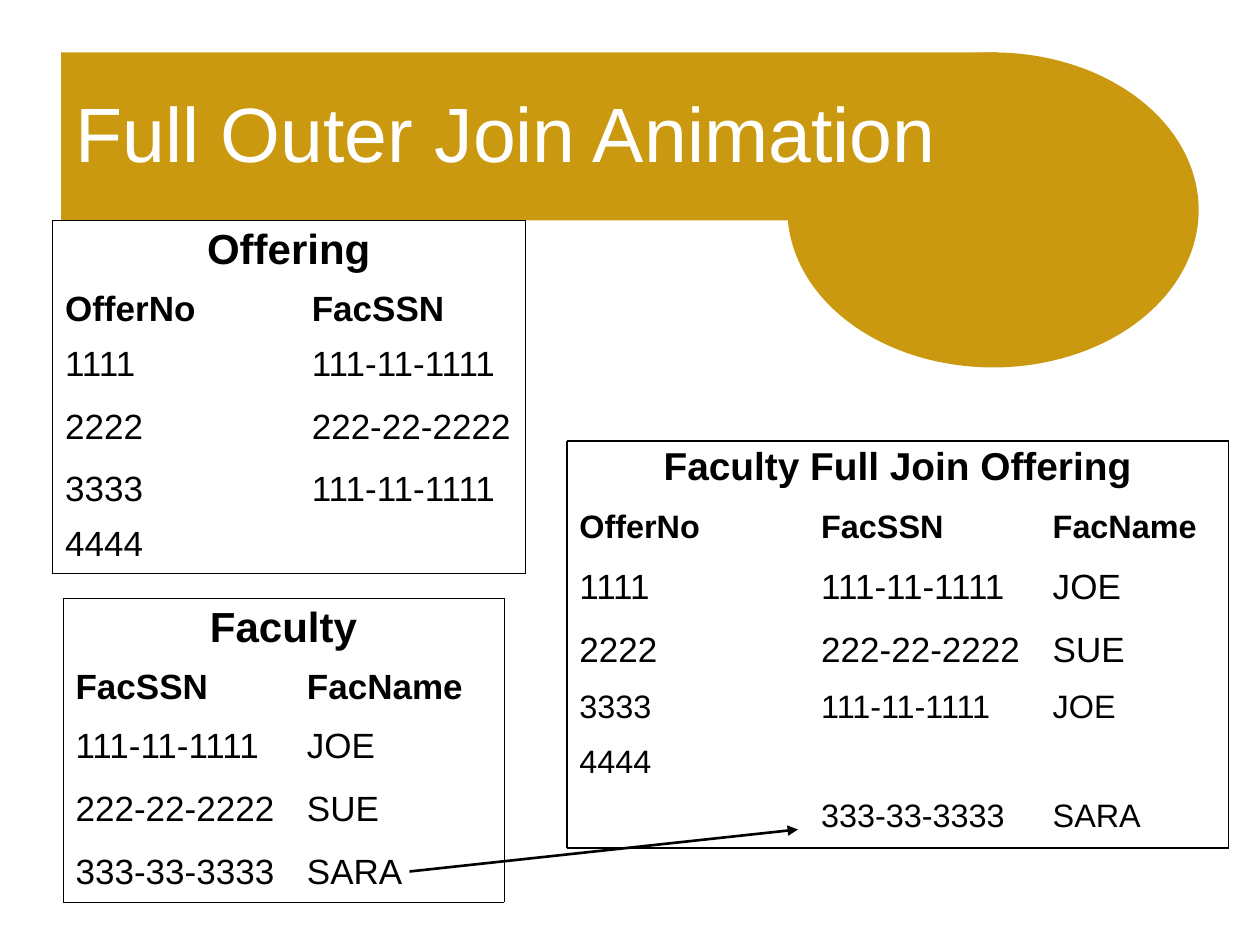
import itertools
from dataclasses import dataclass
from typing import Optional

import pptx
import pptx.dml.color
import pptx.enum.shapes
import pptx.enum.text
import pptx.oxml
import pptx.oxml.ns
import pptx.util

Pt = pptx.util.Pt
Align = pptx.enum.text.PP_ALIGN
Anchor = pptx.enum.text.MSO_ANCHOR
Shape = pptx.enum.shapes.MSO_SHAPE

GOLD = pptx.dml.color.RGBColor(0xCA, 0x99, 0x10)
WHITE = pptx.dml.color.RGBColor(0xFF, 0xFF, 0xFF)
BLACK = pptx.dml.color.RGBColor(0, 0, 0)
FONT = "Arial"


@dataclass
class TextStyle:
    size: float
    bold: bool = False
    color: pptx.dml.color.RGBColor = BLACK
    align: Align = Align.LEFT
    space_before: float = 0
    line_spacing: Optional[float] = None


@dataclass
class Relation:
    name: str
    left: float
    top: float
    widths: list[float]
    heights: list[float]
    rows: list[list[str]]


@dataclass
class JoinRow:
    height: float
    style: TextStyle
    values: list[str]


NAME = TextStyle(24, bold=True, align=Align.CENTER, space_before=6)
COLUMN = TextStyle(20, bold=True, space_before=5)
VALUE = TextStyle(20, space_before=5)
JOIN_NAME = TextStyle(22.2, bold=True, align=Align.CENTER, line_spacing=0.9)
JOIN_COLUMN = TextStyle(18.5, bold=True, line_spacing=0.9)
JOIN_VALUE = TextStyle(20)
JOIN_SMALL = TextStyle(18.5, line_spacing=0.9)

RELATIONS = [
    Relation("Faculty", 36, 342, [132.2, 119.8], [36, 34, 36, 36, 31.5], [
        ["FacSSN", "FacName"],
        ["111-11-1111", "JOE"],
        ["222-22-2222", "SUE"],
        ["333-33-3333", "SARA"],
    ]),
    Relation("Offering", 30, 126, [141, 129], [36, 31.5, 35.7, 35.7, 31.5, 31.5], [
        ["OfferNo", "FacSSN"],
        ["1111", "111-11-1111"],
        ["2222", "222-22-2222"],
        ["3333", "111-11-1111"],
        ["4444", ""],
    ]),
]

JOIN_LEFT, JOIN_TOP = 324, 252
JOIN_WIDTHS = [138.2, 132.3, 107.5]
JOIN_ROWS = [
    JoinRow(31.2, JOIN_COLUMN, ["OfferNo", "FacSSN", "FacName"]),
    JoinRow(36, JOIN_VALUE, ["1111", "111-11-1111", "JOE"]),
    JoinRow(36, JOIN_VALUE, ["2222", "222-22-2222", "SUE"]),
    JoinRow(31.2, JOIN_SMALL, ["3333", "111-11-1111", "JOE"]),
    JoinRow(31.2, JOIN_SMALL, ["4444", "", ""]),
    JoinRow(31.2, JOIN_SMALL, ["", "333-33-3333", "SARA"]),
]
JOIN_NAME_HEIGHT = 36


def write(frame, text: str, style: TextStyle) -> None:
    para = frame.paragraphs[0]
    para.alignment = style.align
    para.space_before = Pt(style.space_before)
    if style.line_spacing:
        para.line_spacing = style.line_spacing
    span = para.add_run()
    span.text = text
    span.font.name = FONT
    span.font.size = Pt(style.size)
    span.font.bold = style.bold
    span.font.color.rgb = style.color


def add_text(page, left: float, top: float, width: float, height: float,
             text: str, style: TextStyle) -> None:
    box = page.shapes.add_textbox(Pt(left), Pt(top), Pt(width), Pt(height))
    box.text_frame.word_wrap = True
    write(box.text_frame, text, style)


def add_gold(page, kind: Shape, left: float, top: float, width: float, height: float) -> None:
    shape = page.shapes.add_shape(kind, Pt(left), Pt(top), Pt(width), Pt(height))
    shape.shadow.inherit = False
    shape.fill.solid()
    shape.fill.fore_color.rgb = GOLD
    shape.line.fill.background()


def add_line(page, start: tuple[float, float], end: tuple[float, float],
             width: float, arrow: bool = False) -> None:
    line = page.shapes.add_connector(
        pptx.enum.shapes.MSO_CONNECTOR.STRAIGHT, *map(Pt, start), *map(Pt, end))
    line.line.color.rgb = BLACK
    line.line.width = Pt(width)
    properties = line.element.spPr
    if arrow:
        properties.find(pptx.oxml.ns.qn("a:ln")).append(pptx.oxml.parse_xml(
            f'<a:tailEnd {pptx.oxml.ns.nsdecls("a")} type="triangle"/>'))
    properties.append(
        pptx.oxml.parse_xml(f'<a:effectLst {pptx.oxml.ns.nsdecls("a")}/>'))


def set_borders(cell, sides: dict[str, bool]) -> None:
    properties = cell._tc.get_or_add_tcPr()
    for index, (side, shown) in enumerate(sides.items()):
        fill = (f'<a:solidFill><a:srgbClr val="{BLACK}"/></a:solidFill>'
                if shown else "<a:noFill/>")
        properties.insert(index, pptx.oxml.parse_xml(
            f'<a:ln{side} {pptx.oxml.ns.nsdecls("a")} w="{Pt(0.45)}">{fill}</a:ln{side}>'))


def add_relation(page, relation: Relation) -> None:
    row_count, column_count = len(relation.heights), len(relation.widths)
    table = page.shapes.add_table(
        row_count, column_count, Pt(relation.left), Pt(relation.top),
        Pt(sum(relation.widths)), Pt(sum(relation.heights))).table
    table.first_row = table.horz_banding = False
    for column, width in zip(table.columns, relation.widths):
        column.width = Pt(width)
    for row, height in zip(table.rows, relation.heights):
        row.height = Pt(height)

    # Only the outer edge of the table is ruled
    for row, column in itertools.product(range(row_count), range(column_count)):
        cell = table.cell(row, column)
        cell.fill.background()
        set_borders(cell, {"L": column == 0,
                           "R": column == column_count - 1 or row == 0,
                           "T": row == 0, "B": row == row_count - 1})

    table.cell(0, 0).merge(table.cell(0, column_count - 1))
    write(table.cell(0, 0).text_frame, relation.name, NAME)
    for row, values in enumerate(relation.rows, start=1):
        for column, value in enumerate(values):
            if value:
                write(table.cell(row, column).text_frame, value,
                      COLUMN if row == 1 else VALUE)


def add_join(page) -> None:
    right = JOIN_LEFT + sum(JOIN_WIDTHS)
    add_text(page, JOIN_LEFT, JOIN_TOP, right - JOIN_LEFT, JOIN_NAME_HEIGHT,
             "Faculty Full Join Offering", JOIN_NAME)
    top = JOIN_TOP + JOIN_NAME_HEIGHT
    for row in JOIN_ROWS:
        left = JOIN_LEFT
        for width, value in zip(JOIN_WIDTHS, row.values):
            if value:
                add_text(page, left, top, width, row.height, value, row.style)
            left += width
        top += row.height

    # Frame around the result
    corners = [(JOIN_LEFT, JOIN_TOP), (right, JOIN_TOP), (right, top), (JOIN_LEFT, top)]
    for start, end in zip(corners, corners[1:] + corners[:1]):
        add_line(page, start, end, 1)


def main() -> None:
    deck = pptx.Presentation()
    deck.slide_width, deck.slide_height = Pt(720), Pt(540)
    page = deck.slides.add_slide(deck.slide_layouts[5])

    # Gold banner, with the title in front of it
    add_gold(page, Shape.RECTANGLE, 35, 30, 534.5, 96)
    add_gold(page, Shape.OVAL, 450, 30, 235, 180)
    title = page.shapes.title
    title.element.getparent().append(title.element)
    title.left, title.top, title.width, title.height = map(Pt, (36, 30, 630, 90))
    title.text_frame.vertical_anchor = Anchor.MIDDLE
    title.text_frame.auto_size = pptx.enum.text.MSO_AUTO_SIZE.NONE
    write(title.text_frame, "Full Outer Join Animation", TextStyle(44, color=WHITE))

    # Source tables, joined result and the unmatched row
    for relation in RELATIONS:
        add_relation(page, relation)
    add_join(page)
    add_line(page, (234, 498), (456, 474), 1.5, arrow=True)

    deck.save("out.pptx")


if __name__ == "__main__":
    main()
